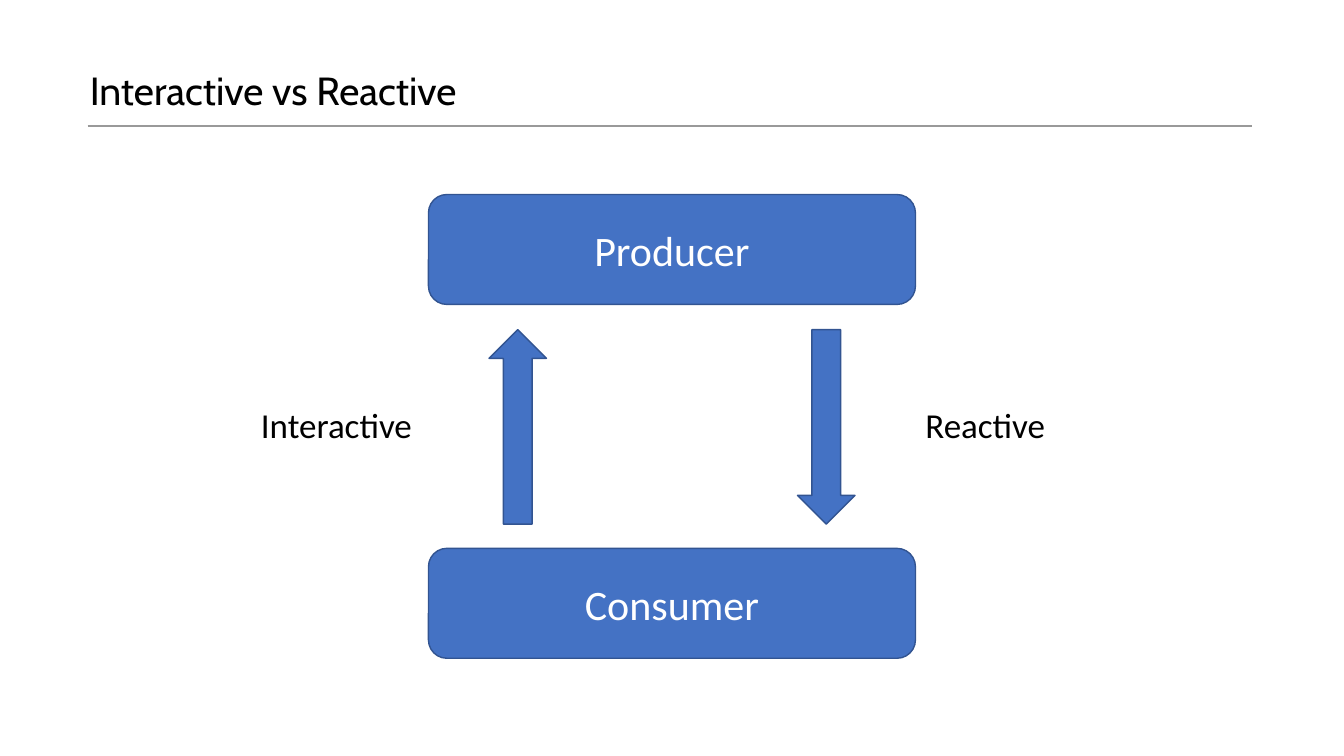
from lxml import etree
from pptx import Presentation
from pptx.dml.color import RGBColor
from pptx.enum.shapes import MSO_CONNECTOR, MSO_SHAPE
from pptx.enum.text import MSO_ANCHOR, MSO_AUTO_SIZE, PP_ALIGN
from pptx.oxml.ns import qn
from pptx.util import Inches, Pt

ROUND_RECT = MSO_SHAPE.ROUNDED_RECTANGLE
UP_ARROW = MSO_SHAPE.UP_ARROW
STRAIGHT = MSO_CONNECTOR.STRAIGHT
TOP, MIDDLE = MSO_ANCHOR.TOP, MSO_ANCHOR.MIDDLE
LEFT, CENTER = PP_ALIGN.LEFT, PP_ALIGN.CENTER
TITLE_ONLY = 5

COLORS = {
    "text": "000000",
    "light": "FFFFFF",
    "fill": "4472C4",
    "outline": "325491",
    "rule": "999999",
}


def color(name):
    return RGBColor.from_string(COLORS[name])


def write(sp, text, size, font="Calibri", ink="text", align=LEFT,
          anchor=TOP, wrap=True, spacing=None):
    tf = sp.text_frame
    tf.word_wrap = wrap
    tf.auto_size = MSO_AUTO_SIZE.NONE
    tf.vertical_anchor = anchor
    p = tf.paragraphs[0]
    p.alignment = align
    p.space_before = Pt(0)
    if spacing:
        p.line_spacing = spacing
    r = p.add_run()
    r.text = text
    r.font.name = font
    r.font.size = Pt(size)
    r.font.color.rgb = color(ink)


def add_title(s, text):
    sp = s.shapes.title
    sp.left, sp.top = Inches(0.79), Inches(0.66)
    sp.width, sp.height = Inches(11.62), Inches(0.69)
    write(sp, text, 28, font="Cabin", spacing=0.9)


def add_rule(s, x1, x2, y):
    line = s.shapes.add_connector(
        STRAIGHT, Inches(x1), Inches(y), Inches(x2), Inches(y))
    line.line.color.rgb = color("rule")
    line.line.width = Pt(0.75)
    etree.SubElement(line._element.spPr, qn("a:effectLst"))


def add_block(s, kind, x, y, w, h):
    sp = s.shapes.add_shape(kind, Inches(x), Inches(y), Inches(w), Inches(h))
    sp.shadow.inherit = False
    sp.fill.solid()
    sp.fill.fore_color.rgb = color("fill")
    sp.line.color.rgb = color("outline")
    sp.line.width = Pt(1)
    return sp


def add_role(s, text, y):
    sp = add_block(s, ROUND_RECT, 4.25, y, 4.83, 1.09)
    write(sp, text, 30, ink="light", align=CENTER, anchor=MIDDLE)


def add_arrow(s, x, rotation=0):
    sp = add_block(s, UP_ARROW, x, 3.27, 0.57, 1.93)
    sp.rotation = rotation


def add_label(s, text, x, w, wrap=True):
    sp = s.shapes.add_textbox(Inches(x), Inches(3.95), Inches(w), Inches(0.52))
    write(sp, text, 25, wrap=wrap)
    sp.text_frame.auto_size = MSO_AUTO_SIZE.SHAPE_TO_FIT_TEXT


def main():
    prs = Presentation()
    prs.slide_width, prs.slide_height = Inches(13.33), Inches(7.5)
    s = prs.slides.add_slide(prs.slide_layouts[TITLE_ONLY])

    # Heading
    add_title(s, "Interactive vs Reactive")
    add_rule(s, 0.87, 12.42, 1.25)

    # Producer and consumer
    add_role(s, "Consumer", 5.44)
    add_role(s, "Producer", 1.93)

    # Directions of control
    add_arrow(s, 4.85)
    add_arrow(s, 7.91, rotation=180)
    add_label(s, "Interactive", 2.49, 1.77)
    add_label(s, "Reactive", 9.08, 1.41, wrap=False)

    prs.save("out.pptx")


if __name__ == "__main__":
    main()
